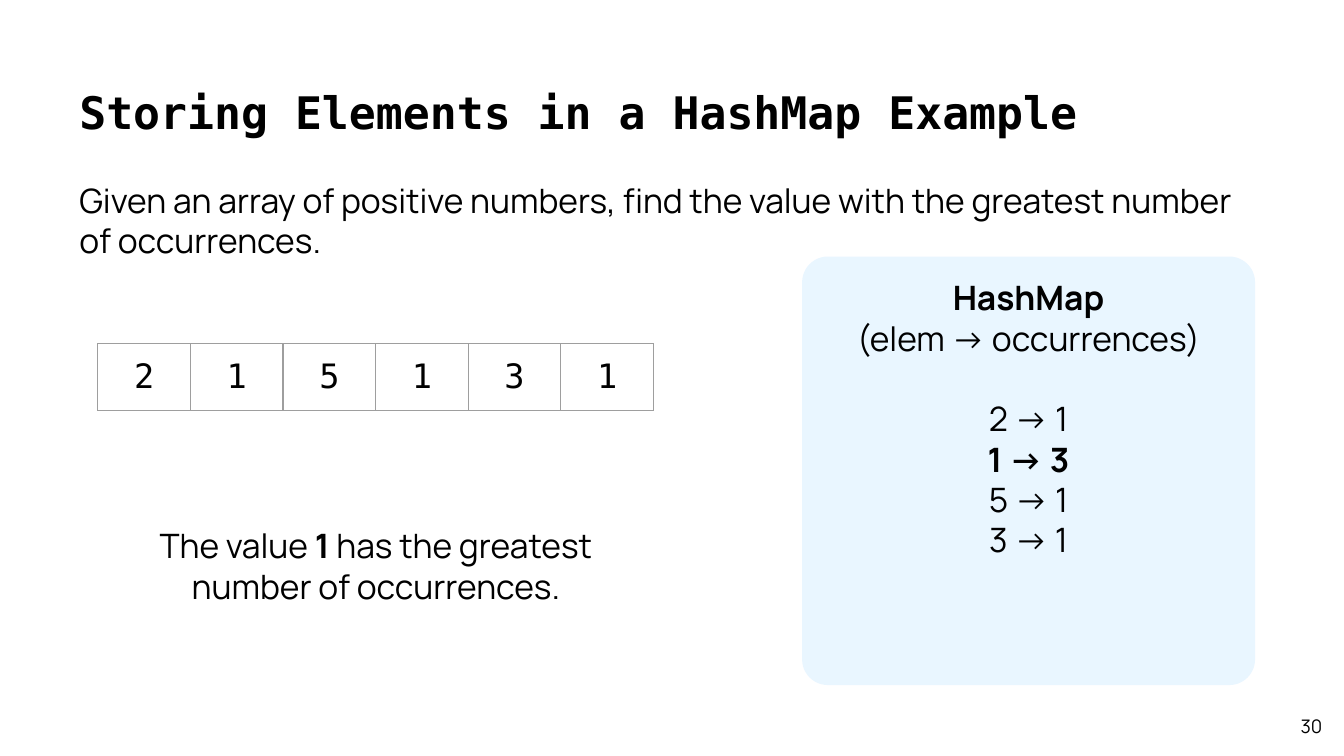
"""Build a slide that counts array values with a HashMap."""
from dataclasses import dataclass

from lxml.etree import SubElement as Sub
from pptx import Presentation
from pptx.dml.color import RGBColor as Rgb
from pptx.enum.shapes import MSO_SHAPE as Form
from pptx.enum.text import MSO_ANCHOR as Anchor, PP_ALIGN as Align
from pptx.oxml.ns import qn
from pptx.util import Cm, Pt


@dataclass(frozen=True)
class Theme:
    ink: str = "000000"
    panel: str = "E9F6FF"
    rule: str = "9E9E9E"
    mono: str = "DejaVu Sans Mono"
    sans: str = "Manrope"
    title: int = 24
    body: int = 18
    small: int = 10
    line: float = 0.75
    inset: float = 0.25
    gap: float = 21.6


class Deck:
    def __init__(self, theme, slide):
        self.theme = theme
        self.slide = slide

    def style(self, para, face, size, bold, align):
        para.alignment = align
        font = para.font
        font.name, font.size, font.bold = face, Pt(size), bold
        font.color.rgb = Rgb.from_string(self.theme.ink)

    def pad(self, item):
        inset = Cm(self.theme.inset)
        item.margin_left = item.margin_right = inset
        item.margin_top = item.margin_bottom = inset

    def fill_in(self, frame, lines, face=None, size=None, bold=False,
                align=Align.LEFT, anchor=Anchor.TOP):
        frame.word_wrap = True
        frame.vertical_anchor = anchor
        self.pad(frame)
        for i, text in enumerate(lines):
            para = frame.paragraphs[0] if i == 0 else frame.add_paragraph()
            parts = text.split("*")
            whole = len(parts) == 3 and not parts[0] + parts[2]
            self.style(para, face or self.theme.sans, size or self.theme.body,
                       bold or whole, align)
            for j, part in enumerate(parts):
                if part:
                    run = para.add_run()
                    run.text = part
                    if j % 2 and not whole:
                        run.font.bold = True

    def text(self, box, *lines, **look):
        shape = self.slide.shapes.add_textbox(*map(Cm, box))
        self.fill_in(shape.text_frame, lines, **look)

    def panel(self, box, curve, head, pairs):
        shape = self.slide.shapes.add_shape(Form.ROUNDED_RECTANGLE, *map(Cm, box))
        shape.adjustments[0] = curve
        shape.shadow.inherit = False
        shape.fill.solid()
        shape.fill.fore_color.rgb = Rgb.from_string(self.theme.panel)
        shape.line.fill.background()
        frame = shape.text_frame
        self.fill_in(frame, head + pairs, align=Align.CENTER)
        frame.paragraphs[len(head)].space_before = Pt(self.theme.gap)

    def border(self, cell):
        props = cell._tc.get_or_add_tcPr()
        for side in ("lnL", "lnR", "lnT", "lnB"):
            line = Sub(props, qn("a:" + side), w=str(Pt(self.theme.line)))
            fill = Sub(line, qn("a:solidFill"))
            Sub(fill, qn("a:srgbClr"), val=self.theme.rule)

    def array(self, left, top, wide, high, values):
        count = len(values)
        table = self.slide.shapes.add_table(
            1, count, Cm(left), Cm(top), Cm(wide * count), Cm(high)).table
        table.first_row = table.horz_banding = False
        for col, value in enumerate(values):
            table.columns[col].width = Cm(wide)
            cell = table.cell(0, col)
            self.border(cell)
            cell.fill.background()
            self.pad(cell)
            cell.text = str(value)
            self.style(cell.text_frame.paragraphs[0], self.theme.mono,
                       self.theme.body, False, Align.CENTER)


def main():
    show = Presentation()
    show.slide_width, show.slide_height = Cm(25.4), Cm(14.29)
    theme = Theme()
    deck = Deck(theme, show.slides.add_slide(show.slide_layouts[6]))
    values = [2, 1, 5, 1, 3, 1]
    counts = {value: values.count(value) for value in values}
    best = max(counts, key=counts.get)
    pairs = []
    for value, count in counts.items():
        pair = f"{value} -> {count}"
        pairs.append(f"*{pair}*" if value == best else pair)

    deck.text((1.25, 1.35, 22.89, 1.6), "Storing Elements in a HashMap Example",
              face=theme.mono, size=theme.title, bold=True)
    deck.text((1.25, 3.15, 22.89, 2.11),
              "Given an array of positive numbers, find the value with the "
              "greatest number of occurrences.")
    deck.text((23.72, 13.31, 1.52, 0.84), "30", size=theme.small,
              align=Align.RIGHT, anchor=Anchor.MIDDLE)
    deck.array(1.85, 6.5, 1.75, 1.07, values)
    deck.panel((15.16, 4.85, 8.56, 8.1), 0.06,
               ["*HashMap*", "(elem -> occurrences)"], pairs)
    deck.text((2.24, 9.68, 9.73, 2.11),
              f"The value *{best}* has the greatest number of occurrences.",
              align=Align.CENTER)
    show.save("out.pptx")


if __name__ == "__main__":
    main()
